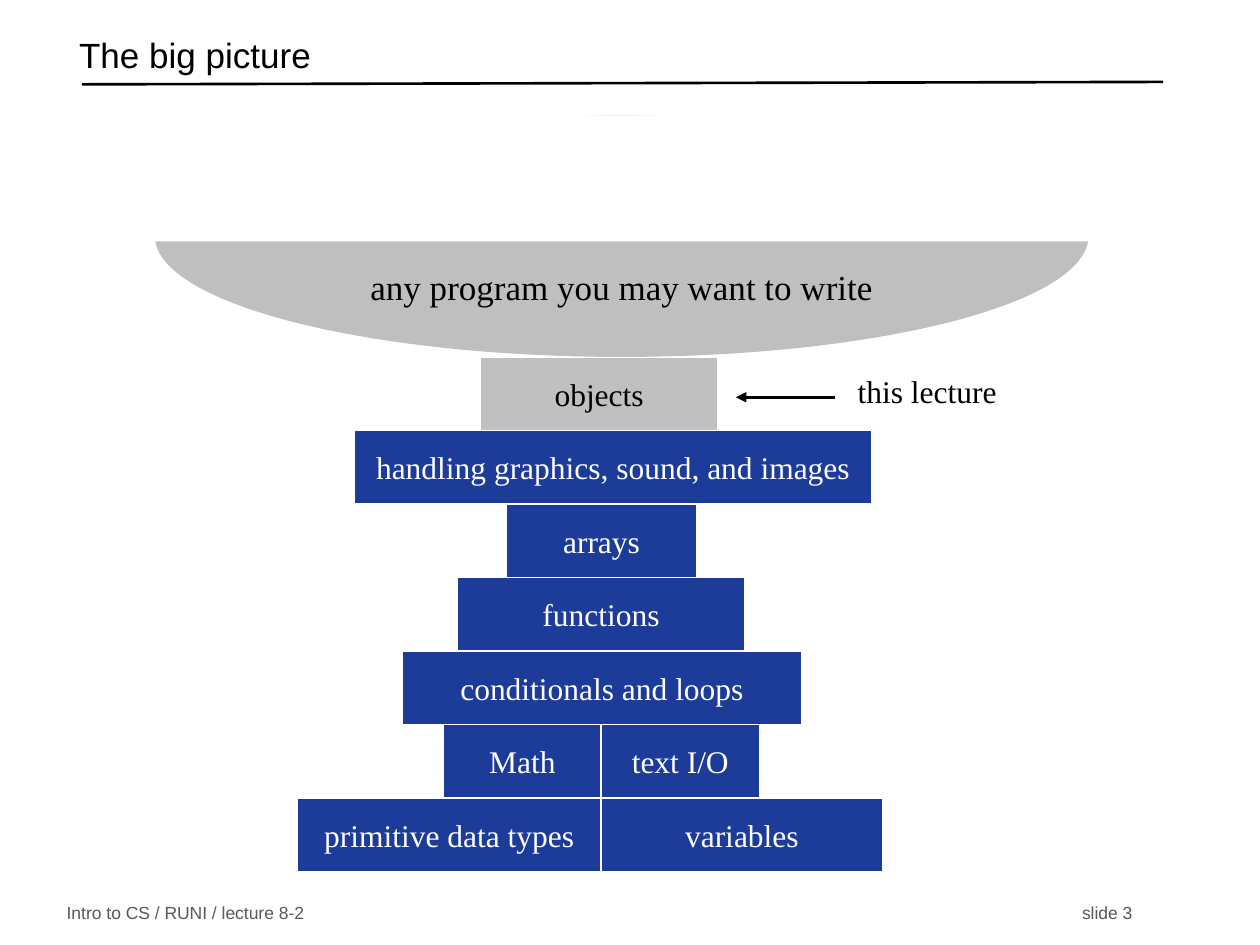
from dataclasses import dataclass

import pptx
import pptx.dml.color
import pptx.enum.shapes
import pptx.enum.text
import pptx.oxml.ns
import pptx.util
from lxml import etree

Pt = pptx.util.Pt
Shapes = pptx.enum.shapes.MSO_SHAPE
Align = pptx.enum.text.PP_ALIGN
Anchor = pptx.enum.text.MSO_ANCHOR
qn = pptx.oxml.ns.qn

COLORS = {"black": "000000", "white": "FFFFFF", "blue": "1D3C99",
          "silver": "C0C0C0", "gray": "808080", "footer": "595959"}
SANS, SERIF = "Arial", "Times New Roman"
TOWER_TOP, ROW_HEIGHT = 204, 42


@dataclass
class Block:
    text: str
    row: int
    left: float
    width: float
    fill: str = "blue"
    color: str = "white"


BLOCKS = [
    Block("objects", 0, 274.4, 136, "silver", "black"),
    Block("handling graphics, sound, and images", 1, 202.4, 296),
    Block("arrays", 2, 289.5, 108.5),
    Block("functions", 3, 261.5, 164),
    Block("conditionals and loops", 4, 230, 228),
    Block("Math", 5, 253.5, 90),
    Block("text I/O", 5, 343.5, 90.5),
    Block("primitive data types", 6, 170, 173.5),
    Block("variables", 6, 343.5, 161),
]


def rgb(name: str):
    return pptx.dml.color.RGBColor.from_string(COLORS[name])


def write(shape, text: str, *, size: float = 18, font: str = SERIF, color: str = "black",
          align=Align.LEFT, anchor=Anchor.MIDDLE, wrap: bool = True,
          line_spacing: float = 1, right_tab: float = 0) -> None:
    frame = shape.text_frame
    frame.auto_size = pptx.enum.text.MSO_AUTO_SIZE.NONE
    frame.word_wrap, frame.vertical_anchor = wrap, anchor
    paragraph = frame.paragraphs[0]
    paragraph.text = text
    paragraph.alignment, paragraph.line_spacing = align, line_spacing
    if right_tab:
        tabs = etree.SubElement(paragraph._p.get_or_add_pPr(), qn("a:tabLst"))
        etree.SubElement(tabs, qn("a:tab"), pos=str(Pt(right_tab)), algn="r")
    for run in paragraph.runs:
        run.font.size, run.font.name = Pt(size), font
        run.font.color.rgb = rgb(color)


def add_shape(slide, kind, left: float, top: float, width: float, height: float,
              fill: str, line: str = ""):
    shape = slide.shapes.add_shape(kind, Pt(left), Pt(top), Pt(width), Pt(height))
    shape.shadow.inherit = False
    shape.fill.solid()
    shape.fill.fore_color.rgb = rgb(fill)
    if line:
        shape.line.color.rgb, shape.line.width = rgb(line), Pt(0.75)
    else:
        shape.line.fill.background()
    return shape


def add_line(slide, start: tuple[float, float], end: tuple[float, float],
             width: float, arrow: bool = False) -> None:
    connector = slide.shapes.add_connector(
        pptx.enum.shapes.MSO_CONNECTOR.STRAIGHT, *map(Pt, start + end))
    connector.line.color.rgb, connector.line.width = rgb("black"), Pt(width)
    if arrow:
        etree.SubElement(connector.line._get_or_add_ln(), qn("a:tailEnd"), type="triangle")
    etree.SubElement(connector._element.spPr, qn("a:effectLst"))


def add_text(slide, text: str, left: float, top: float, width: float, height: float,
             **text_format) -> None:
    box = slide.shapes.add_textbox(Pt(left), Pt(top), Pt(width), Pt(height))
    write(box, text, **text_format)


def add_block(slide, block: Block) -> None:
    shape = add_shape(slide, Shapes.RECTANGLE, block.left, TOWER_TOP + block.row * ROW_HEIGHT,
                      block.width, ROW_HEIGHT, block.fill, "white")
    write(shape, block.text, color=block.color, align=Align.CENTER, wrap=False)


def main() -> None:
    presentation = pptx.Presentation()
    presentation.slide_width, presentation.slide_height = Pt(720), Pt(540)
    slide = presentation.slides.add_slide(presentation.slide_layouts[5])

    # Title, rule and footer
    title = slide.shapes.title
    title.left, title.top, title.width, title.height = Pt(38), Pt(16), Pt(619), Pt(36)
    write(title, "The big picture", size=20, font=SANS, line_spacing=0.7)
    add_line(slide, (46.8, 48.2), (664.6, 46.8), 1.5)
    add_text(slide, "Intro to CS / RUNI / lecture 8-2\tslide 3", 31, 514, 627, 15,
             size=10, font=SANS, color="footer", right_tab=609)

    # Tower of topics
    for block in BLOCKS:
        add_block(slide, block)

    # Bowl: an ellipse with its upper half covered
    bowl = add_shape(slide, Shapes.OVAL, 88.5, 66, 533.5, 138, "gray")
    fill_color = bowl._element.spPr.find(qn("a:solidFill"))[0]
    etree.SubElement(fill_color, qn("a:alpha"), val="50000")
    bowl.text_frame.margin_bottom = Pt(8)
    write(bowl, "any program you may want to write", size=20,
          align=Align.CENTER, anchor=Anchor.BOTTOM, wrap=False)
    add_shape(slide, Shapes.RECTANGLE, 12, 66, 696, 72, "white")

    # Marker for the current topic
    add_text(slide, "this lecture", 483, 209, 129, 29, anchor=Anchor.TOP)
    add_line(slide, (477.4, 227), (420.5, 227), 1.75, arrow=True)

    presentation.save("out.pptx")


if __name__ == "__main__":
    main()
